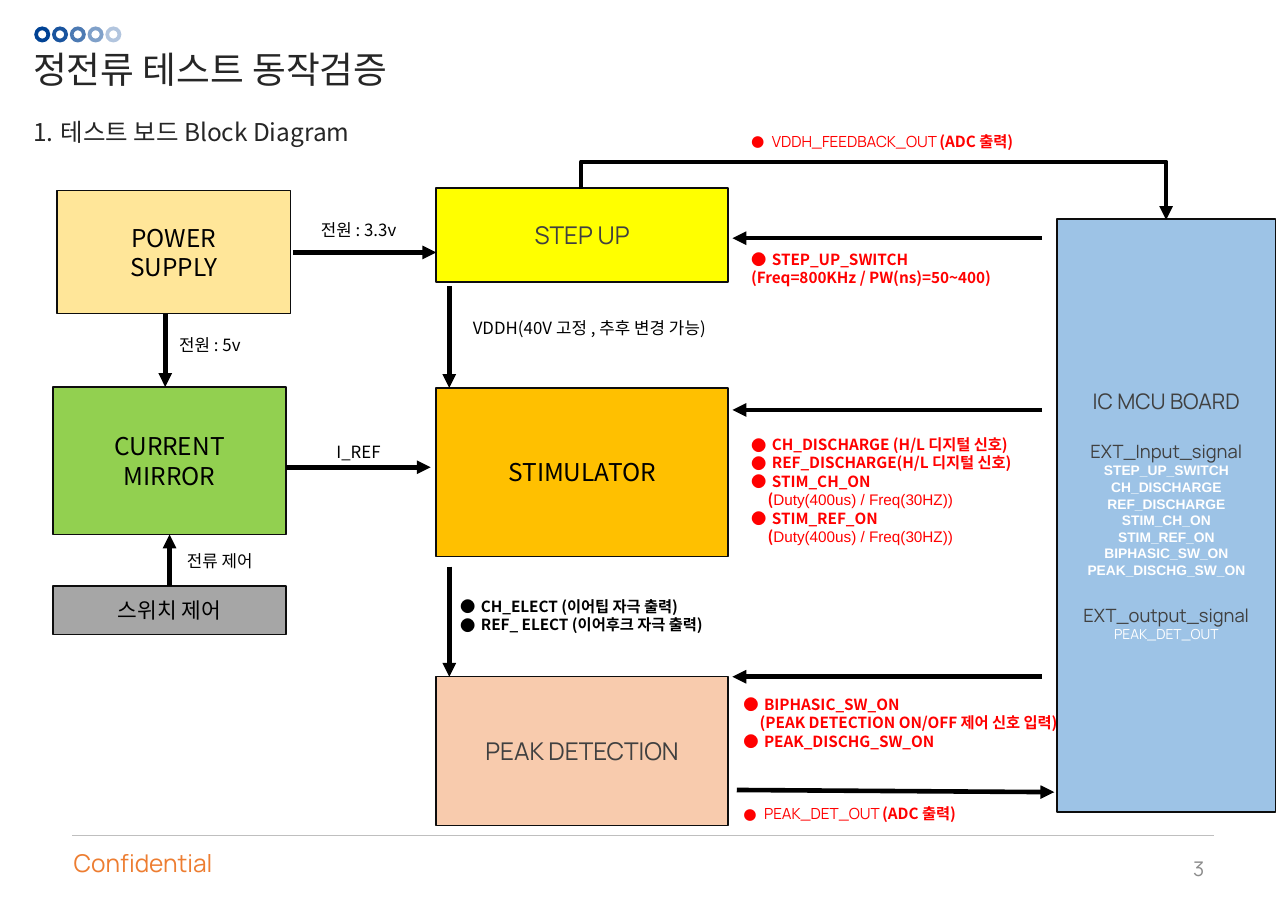
"""Build the block diagram slide of the constant-current test board."""
from lxml.etree import SubElement
from pptx import Presentation
from pptx.dml.color import RGBColor
from pptx.enum.shapes import MSO_CONNECTOR as LINE, MSO_SHAPE as SHAPE
from pptx.enum.text import MSO_ANCHOR as ANCHOR, MSO_AUTO_SIZE as FIT, PP_ALIGN as ALIGN
from pptx.oxml.ns import qn
from pptx.util import Cm, Pt

KR, MANROPE, ARIAL = "Noto Sans CJK KR", "Manrope", "Arial"
BLACK, WHITE, GRAY, RED = "000000", "FFFFFF", "404040", "FF0000"


def rgb(color):
    return RGBColor.from_string(color)


def add_text(tf, text, size=10, font=KR, color=BLACK, bold=False, align=ALIGN.LEFT,
             bullet=None, left=0, hang=0, before=0, spacing=1.0, join=False):
    p = tf.paragraphs[-1]
    if not join:
        if p.runs:
            p = tf.add_paragraph()
        p.alignment, p.line_spacing, p.space_before = align, spacing, Pt(before)
        pPr = p._p.get_or_add_pPr()
        pPr.set("marL", str(Cm(left)))
        pPr.set("indent", str(-Cm(hang)))
        if bullet:
            SubElement(pPr, qn("a:buFont"), typeface=font)
            if bullet == "1.":
                SubElement(pPr, qn("a:buAutoNum"), type="arabicPeriod")
            else:
                SubElement(pPr, qn("a:buChar"), char=bullet)
    r = p.add_run()
    r.text = text
    r.font.size, r.font.name, r.font.bold = Pt(size), font, bold
    r.font.color.rgb = rgb(color)
    SubElement(r._r.get_or_add_rPr(), qn("a:ea"), typeface=font)


prs = Presentation()
prs.slide_width, prs.slide_height = Cm(29.7), Cm(21)
s = prs.slides.add_slide(prs.slide_layouts[1])

title, body = s.placeholders
for sp, box in ((title, (0.51, 0.94, 15.21, 1.27)), (body, (0.51, 2.24, 26.39, 1.19))):
    sp.left, sp.top, sp.width, sp.height = map(Cm, box)
    sp.text_frame.vertical_anchor = ANCHOR.TOP
    sp.text_frame.auto_size = FIT.SHAPE_TO_FIT_TEXT
add_text(title.text_frame, "정전류 테스트 동작검증", size=24, color="262626")
add_text(body.text_frame, "테스트 보드 Block Diagram", size=16, color="262626",
         bullet="1.", left=0.64, hang=0.64, spacing=1.5)

for i, alpha in enumerate((100, 90, 70, 50, 30)):
    sp = s.shapes.add_shape(SHAPE.DONUT, Cm(0.79 + 0.41 * i), Cm(0.61), Cm(0.37), Cm(0.37))
    sp.adjustments[0] = 0.24
    sp.shadow.inherit = False
    sp.line.fill.background()
    sp.fill.solid()
    sp.fill.fore_color.rgb = rgb("004294")
    clr = sp._element.spPr.find(qn("a:solidFill"))[0]
    SubElement(clr, qn("a:alpha"), val=str(alpha * 1000))

blocks = [
    (1.32, 4.39, 5.38, 2.84, "FFE699", ["POWER", "SUPPLY"], KR, 16),
    (1.22, 8.92, 5.38, 3.4, "92D050", ["CURRENT", "MIRROR"], KR, 16),
    (1.22, 13.51, 5.38, 1.12, "A6A6A6", ["스위치 제어"], KR, 14),
    (10.06, 4.34, 6.73, 2.16, "FFFF00", ["STEP UP"], MANROPE, 16),
    (10.06, 8.94, 6.73, 3.89, "FFC000", ["STIMULATOR"], KR, 16),
    (10.06, 15.6, 6.73, 3.43, "F8CBAD", ["PEAK DETECTION"], MANROPE, 16),
    (24.38, 5.05, 5.03, 13.67, "9DC3E6", ["IC MCU BOARD"], MANROPE, 14),
]
for x, y, w, h, fill, lines, font, size in blocks:
    sp = s.shapes.add_shape(SHAPE.RECTANGLE, Cm(x), Cm(y), Cm(w), Cm(h))
    sp.shadow.inherit = False
    sp.fill.solid()
    sp.fill.fore_color.rgb = rgb(fill)
    sp.line.color.rgb = rgb("0D0D0D")
    sp.line.width = Pt(1)
    tf = sp.text_frame
    tf.vertical_anchor = ANCHOR.MIDDLE
    for line in lines:
        add_text(tf, line, size=size, font=font, align=ALIGN.CENTER,
                 color=GRAY if font == MANROPE else BLACK)

signals = [
    ("EXT_Input_signal", ARIAL,
     ["STEP_UP_SWITCH", "CH_DISCHARGE", "REF_DISCHARGE", "STIM_CH_ON", "STIM_REF_ON",
      "BIPHASIC_SW_ON", "PEAK_DISCHG_SW_ON"]),
    ("EXT_output_signal", MANROPE, ["PEAK_DET_OUT"]),
]
for head, font, names in signals:
    add_text(tf, head, size=12, font=MANROPE, color=GRAY, align=ALIGN.CENTER, before=17)
    for name in names:
        add_text(tf, name, size=9, font=font, color=WHITE, bold=font == ARIAL,
                 align=ALIGN.CENTER)

labels = [
    (5.82, 4.95, 4.9, "전원 : 3.3v"),
    (2.39, 7.59, 4.9, "전원 : 5v"),
    (10.39, 7.21, 6.4, "VDDH(40V 고정 , 추후 변경 가능)"),
    (6.76, 10.06, 3.02, "I_REF"),
    (3.56, 12.57, 3.02, "전류 제어"),
]
for x, y, w, text in labels:
    tf = s.shapes.add_textbox(Cm(x), Cm(y), Cm(w), Cm(0.74)).text_frame
    tf.word_wrap, tf.auto_size = True, FIT.SHAPE_TO_FIT_TEXT
    add_text(tf, text, size=11, align=ALIGN.CENTER)

duty = (None, 0.38, ("(", KR), ("Duty(400us) / Freq(30HZ))", ARIAL))
notes = [
    (17.07, 2.92, 11.23, 0.69, RED,
     [("●", 0.48, ("VDDH_FEEDBACK_OUT ", MANROPE), ("(ADC 출력)", KR))]),
    (17.07, 5.64, 6.71, 1.12, RED,
     [("●", 0.48, ("STEP_UP_SWITCH", KR)),
      (None, 0, ("(Freq=800KHz / PW(ns)=50~400)", KR))]),
    (17.07, 9.91, 6.63, 2.82, RED,
     [("●", 0.48, ("CH_DISCHARGE (H/L 디지털 신호)", KR)),
      ("●", 0.48, ("REF_DISCHARGE(H/L 디지털 신호)", KR)),
      ("●", 0.48, ("STIM_CH_ON", KR)), duty,
      ("●", 0.48, ("STIM_REF_ON", KR)), duty]),
    (10.36, 13.64, 11.23, 1.55, BLACK,
     [("●", 0.48, ("CH_ELECT (이어팁 자극 출력)", KR)),
      ("●", 0.48, ("REF_ ELECT (이어후크 자극 출력)", KR))]),
    (16.89, 15.9, 11.23, 1.55, RED,
     [("●", 0.48, ("BIPHASIC_SW_ON", KR)),
      (None, 0.38, ("(PEAK DETECTION ON/OFF 제어 신호 입력)", KR)),
      ("●", 0.48, ("PEAK_DISCHG_SW_ON", KR))]),
    (16.89, 18.42, 11.23, 0.69, RED,
     [("●", 0.48, ("PEAK_DET_OUT ", MANROPE), ("(ADC 출력)", KR))]),
]
for x, y, w, h, color, lines in notes:
    tf = s.shapes.add_textbox(Cm(x), Cm(y), Cm(w), Cm(h)).text_frame
    tf.word_wrap, tf.auto_size = True, FIT.SHAPE_TO_FIT_TEXT
    for bullet, left, *runs in lines:
        for i, (text, font) in enumerate(runs):
            add_text(tf, text, font=font, color=color, bold=font == KR, bullet=bullet,
                     left=left, hang=left if bullet else 0, join=i > 0)

connectors = [
    (LINE.STRAIGHT, 27.99, 19.25, 1.65, 19.25, "BFBFBF", 0.5),
    (LINE.STRAIGHT, 6.76, 5.82, 10.06, 5.82, BLACK, 3),
    (LINE.STRAIGHT, 3.81, 7.24, 3.81, 8.92, BLACK, 3),
    (LINE.STRAIGHT, 3.91, 13.51, 3.91, 12.32, BLACK, 3),
    (LINE.STRAIGHT, 6.6, 10.77, 9.93, 10.77, BLACK, 3),
    (LINE.STRAIGHT, 10.36, 6.6, 10.36, 8.94, BLACK, 3),
    (LINE.STRAIGHT, 10.36, 13.06, 10.36, 15.6, BLACK, 3),
    (LINE.STRAIGHT, 24.03, 5.49, 16.89, 5.49, BLACK, 3),
    (LINE.STRAIGHT, 24.03, 9.45, 16.89, 9.45, BLACK, 3),
    (LINE.STRAIGHT, 24.03, 15.6, 16.89, 15.6, BLACK, 3),
    (LINE.STRAIGHT, 16.99, 18.21, 24.31, 18.26, BLACK, 3),
    (LINE.ELBOW, 20.5, -2.03, 19.79, 11.46, BLACK, 3),
]
for kind, x1, y1, x2, y2, color, width in connectors:
    c = s.shapes.add_connector(kind, Cm(x1), Cm(y1), Cm(x2), Cm(y2))
    c.line.color.rgb = rgb(color)
    c.line.width = Pt(width)
    spPr = c._element.spPr
    if color == BLACK:
        SubElement(spPr.find(qn("a:ln")), qn("a:tailEnd"), type="triangle")
    SubElement(spPr, qn("a:effectLst"))
    if kind == LINE.ELBOW:
        spPr.find(qn("a:xfrm")).set("rot", "16200000")
        avLst = spPr.find(qn("a:prstGeom")).find(qn("a:avLst"))
        SubElement(avLst, qn("a:gd"), name="adj1", fmla="val -88500")

tf = s.shapes.add_textbox(Cm(1.45), Cm(19.43), Cm(3.99), Cm(0.94)).text_frame
tf.word_wrap, tf.auto_size = False, FIT.SHAPE_TO_FIT_TEXT
add_text(tf, "Confidential", size=16, font=MANROPE, color="ED7D31")

tf = s.shapes.add_textbox(Cm(21.34), Cm(19.46), Cm(6.68), Cm(1.12)).text_frame
tf.word_wrap, tf.vertical_anchor = True, ANCHOR.MIDDLE
add_text(tf, "3", size=13.2, font=MANROPE, color="8C8C8C", align=ALIGN.RIGHT)

prs.save("out.pptx")
